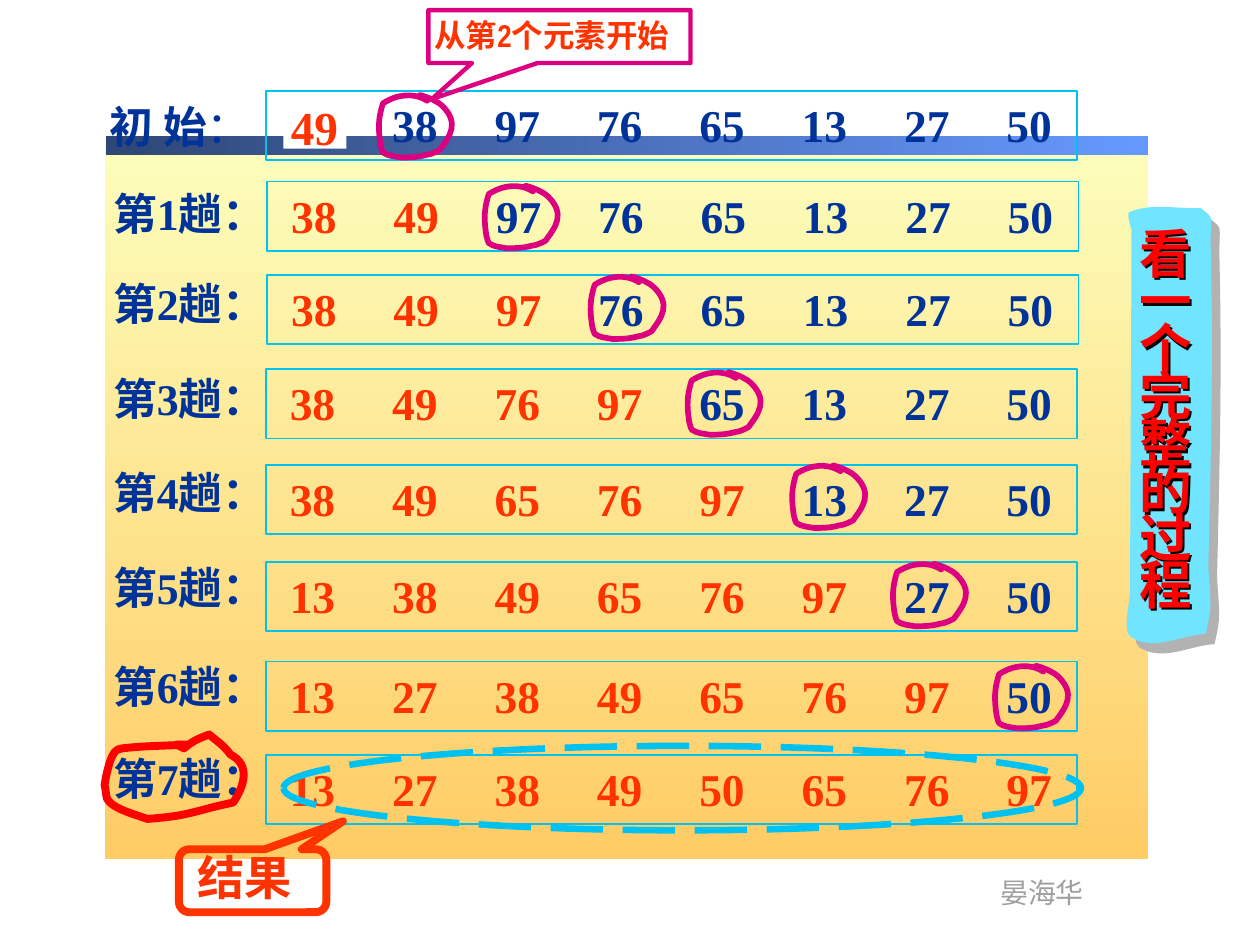
from dataclasses import dataclass

from lxml.etree import SubElement
from pptx import Presentation
from pptx.dml.color import RGBColor
from pptx.enum.dml import MSO_LINE
from pptx.enum.shapes import MSO_SHAPE as Preset
from pptx.enum.text import MSO_ANCHOR as Anchor
from pptx.enum.text import MSO_AUTO_SIZE as AutoSize
from pptx.enum.text import PP_ALIGN as Align
from pptx.oxml.ns import qn
from pptx.util import Inches, Pt


@dataclass(frozen=True)
class Theme:
    serif: str = "Times New Roman"
    narrow: str = "Arial Narrow"
    cjk: str = "Noto Sans CJK SC"
    heading: str = "Noto Sans CJK JP"
    navy: str = "003399"
    orange: str = "FF3300"
    red: str = "FF0000"
    magenta: str = "DC0081"
    cyan: str = "00C2F0"
    sky: str = "71E4FF"
    white: str = "FFFFFF"
    black: str = "000000"
    gray: str = "9F9F9F"
    shade: str = "B2B2B2"
    panel: tuple = ("FCFEBC", "FFCC66")
    band: tuple = ("2F4776", "6699FF")
    title_size: float = 30
    result_size: float = 27
    number_size: float = 26
    label_size: float = 25
    note_size: float = 18
    footer_size: float = 16


class SlideWriter:
    def __init__(self, page, theme):
        self.page = page
        self.theme = theme

    def paint(self, shape, fill=None, line=None, weight=1):
        shape.shadow.inherit = False
        if fill:
            shape.fill.solid()
            shape.fill.fore_color.rgb = RGBColor.from_string(fill)
        else:
            shape.fill.background()
        if line:
            shape.line.color.rgb = RGBColor.from_string(line)
            shape.line.width = Pt(weight)
        else:
            shape.line.fill.background()
        return shape

    def cast_shadow(self, shape, color, distance, degrees):
        shape.shadow.inherit = False
        effects = shape._element.spPr.find(qn("a:effectLst"))
        shadow = SubElement(effects, qn("a:outerShdw"), dist=str(Pt(distance)),
                            dir=str(degrees * 60000), algn="ctr", rotWithShape="0")
        SubElement(shadow, qn("a:srgbClr"), val=color)

    def shape(self, preset, place, adjustments=(), **paint):
        shape = self.page.shapes.add_shape(preset, *map(Inches, place))
        for index, value in enumerate(adjustments):
            shape.adjustments[index] = value
        return self.paint(shape, **paint)

    def gradient(self, place, colors, angle):
        shape = self.shape(Preset.RECTANGLE, place)
        shape.fill.gradient()
        shape.fill.gradient_angle = angle
        for stop, color, position in zip(shape.fill.gradient_stops, colors, (0, 1)):
            stop.color.rgb = RGBColor.from_string(color)
            stop.position = position

    def outline(self, start, curves, dx=0, dy=0, **paint):
        builder = self.page.shapes.build_freeform(Inches(start[0] + dx), Inches(start[1] + dy))
        builder.add_line_segments([(Inches(curve[4] + dx), Inches(curve[5] + dy))
                                   for curve in curves], close=True)
        shape = builder.convert_to_shape()
        segments = list(shape._element.iter(qn("a:lnTo")))
        for segment, curve in zip(segments, curves):
            bend = segment.makeelement(qn("a:cubicBezTo"), {})
            for x, y in zip(curve[::2], curve[1::2]):
                SubElement(bend, qn("a:pt"), x=str(Inches(x + dx) - shape.left),
                           y=str(Inches(y + dy) - shape.top))
            segment.getparent().replace(segment, bend)
        return self.paint(shape, **paint)

    def style(self, span, size, color, font, bold=True, cjk=None):
        span.font.size = Pt(size)
        span.font.bold = bold
        span.font.color.rgb = RGBColor.from_string(color)
        span.font.name = font
        latin = span.font._element.find(qn("a:latin"))
        east = latin.makeelement(qn("a:ea"), {"typeface": cjk or self.theme.cjk})
        latin.addnext(east)

    def text(self, place, words, size, color, font, bold=True, wrap=False, inset=0.1):
        box = self.page.shapes.add_textbox(*map(Inches, place))
        frame = box.text_frame
        frame.text = words
        frame.word_wrap = wrap
        frame.auto_size = AutoSize.SHAPE_TO_FIT_TEXT
        frame.margin_left = Inches(inset)
        self.style(frame.paragraphs[0].runs[0], size, color, font, bold)
        return frame.paragraphs[0]

    def number_row(self, place, done, waiting):
        theme = self.theme
        row = self.shape(Preset.RECTANGLE, place, line=theme.cyan)
        frame = row.text_frame
        frame.word_wrap = False
        frame.vertical_anchor = Anchor.MIDDLE
        frame.margin_left = Inches(0.19)
        frame.margin_bottom = Inches(0.07)
        para = frame.paragraphs[0]
        para.alignment = Align.LEFT
        tabs = SubElement(para._p.get_or_add_pPr(), qn("a:tabLst"))
        for column in range(1, len(done) + len(waiting)):
            SubElement(tabs, qn("a:tab"), pos=str(Inches(column * 6.5 / 8)), algn="l")
        lead = "\t" if done and waiting else ""
        parts = (("\t".join(map(str, done)), theme.orange),
                 (lead + "\t".join(map(str, waiting)), theme.navy))
        for words, color in parts:
            if words:
                span = para.add_run()
                span.text = words
                self.style(span, theme.number_size, color, theme.serif)

    def vertical_title(self, place, words):
        theme = self.theme
        title = self.page.shapes.title
        title.left, title.top, title.width, title.height = map(Inches, place)
        self.page.shapes._spTree.append(title._element)
        title.fill.background()
        self.cast_shadow(title, theme.black, 2, 45)
        frame = title.text_frame
        frame.text = "\n".join(words)
        frame.word_wrap = False
        frame.auto_size = AutoSize.NONE
        frame.vertical_anchor = Anchor.TOP
        for para in frame.paragraphs:
            para.alignment = Align.LEFT
            para.line_spacing = 0.75
            para.space_before = Pt(0)
            self.style(para.runs[0], theme.title_size, theme.red, theme.heading,
                       cjk=theme.heading)


RING = ((3.39, 0.8), [
    (3.28, 0.73, 3.15, 0.75, 3.04, 0.82), (3, 0.94, 3, 1.02, 3.02, 1.15),
    (3.03, 1.18, 3.03, 1.2, 3.04, 1.21), (3.08, 1.24, 3.13, 1.24, 3.18, 1.25),
    (3.24, 1.25, 3.31, 1.25, 3.38, 1.23), (3.42, 1.23, 3.49, 1.19, 3.49, 1.19),
    (3.57, 1.08, 3.65, 0.98, 3.51, 0.84), (3.49, 0.82, 3.47, 0.81, 3.45, 0.8),
    (3.42, 0.78, 3.3, 0.74, 3.34, 0.76), (3.36, 0.78, 3.38, 0.79, 3.39, 0.8)])
LAST_PASS = ((1.48, 5.91), [
    (1.31, 5.92, 1.14, 5.92, 0.97, 5.94), (0.95, 5.94, 0.93, 5.95, 0.91, 5.97),
    (0.86, 6.03, 0.83, 6.23, 0.83, 6.23), (0.84, 6.27, 0.84, 6.31, 0.85, 6.34),
    (0.89, 6.42, 1.09, 6.47, 1.17, 6.5), (1.41, 6.48, 1.45, 6.47, 1.64, 6.42),
    (1.71, 6.4, 1.85, 6.37, 1.85, 6.37), (1.94, 6.24, 1.99, 6.07, 1.83, 5.99),
    (1.77, 5.91, 1.73, 5.89, 1.66, 5.83), (1.58, 5.86, 1.53, 5.88, 1.46, 5.94),
    (1.38, 5.9, 1.38, 5.91, 1.48, 5.91)])
BANNER = ((8.98, 1.79), [
    (8.98, 2.75, 8.97, 3.71, 8.97, 4.67), (8.97, 4.8, 8.9, 5.01, 8.98, 5.06),
    (9.17, 5.17, 9.37, 5.04, 9.57, 5.03), (9.62, 4.81, 9.61, 4.8, 9.59, 4.5),
    (9.61, 3.64, 9.63, 2.88, 9.61, 2.01), (9.6, 1.68, 9.65, 1.75, 9.53, 1.65),
    (9.34, 1.66, 9.15, 1.61, 8.97, 1.68), (8.93, 1.69, 8.98, 1.79, 8.98, 1.84),
    (8.99, 1.86, 8.98, 1.81, 8.98, 1.79)])
NUMBERS = [49, 38, 97, 76, 65, 13, 27, 50]
ROW_PLACES = [(2.11, 0.72), (2.12, 1.44), (2.12, 2.18), (2.11, 2.93),
              (2.11, 3.69), (2.11, 4.46), (2.11, 5.25), (2.11, 5.99)]
LABEL_TOPS = [1.43, 2.15, 2.9, 3.65, 4.4, 5.19, 5.92]
RING_PLACES = [(3, 0.73), (3.84, 1.45), (4.68, 2.17), (5.45, 2.93),
               (6.28, 3.67), (7.08, 4.45), (7.89, 5.26)]


def main():
    deck = Presentation()
    deck.slide_width, deck.slide_height = Inches(10), Inches(7.5)
    theme = Theme()
    writer = SlideWriter(deck.slides.add_slide(deck.slide_layouts[5]), theme)

    writer.gradient((0.83, 1.1, 8.28, 5.72), theme.panel, 270)
    writer.gradient((0.84, 1.08, 8.27, 0.15), theme.band, 0)
    writer.text((7.84, 6.9, 0.87, 0.37), "晏海华", theme.footer_size, theme.gray,
                theme.narrow, bold=False)

    for step, (left, top) in enumerate(ROW_PLACES):
        sorted_count = step + 1 if step else 0
        writer.number_row((left, top, 6.44, 0.55), sorted(NUMBERS[:sorted_count]),
                          NUMBERS[sorted_count:])
    label = writer.text((0.69, 0.74, 1.51, 0.52), "初 始", theme.label_size, theme.navy,
                        theme.cjk, inset=0.18)
    colon = label.add_run()
    colon.text = "："
    writer.style(colon, theme.label_size, theme.navy, theme.serif, bold=False)
    for step, top in enumerate(LABEL_TOPS, start=1):
        writer.text((0.8, top, 1.42, 0.52), f"第{step}趟：", theme.label_size, theme.navy,
                    theme.serif)
    for left, top in RING_PLACES:
        writer.outline(*RING, dx=left - 3, dy=top - 0.73, line=theme.magenta, weight=3.25)

    writer.shape(Preset.RECTANGULAR_CALLOUT, (3.4, 0.08, 2.08, 0.42), (-0.487, 1.183),
                 line=theme.magenta, weight=2.5)
    writer.text((3.35, 0.08, 2.2, 0.4), "从第2个元素开始", theme.note_size, theme.orange,
                theme.narrow, wrap=True)
    writer.shape(Preset.RECTANGLE, (2.25, 0.85, 0.5, 0.33), fill=theme.white)
    writer.text((2.21, 0.73, 0.58, 0.55), str(NUMBERS[0]), theme.result_size, theme.orange,
                theme.serif)

    ellipse = writer.shape(Preset.OVAL, (2.25, 5.92, 6.33, 0.67), line=theme.cyan, weight=3.75)
    ellipse.line.dash_style = MSO_LINE.LONG_DASH
    writer.shape(Preset.ROUNDED_RECTANGULAR_CALLOUT, (1.42, 6.74, 1.17, 0.5),
                 (0.613, -0.944, 0.167), line=theme.orange, weight=4.5)
    writer.text((1.47, 6.68, 1.28, 0.55), "结果", theme.result_size, theme.orange,
                theme.narrow, wrap=True)
    writer.outline(*LAST_PASS, line=theme.red, weight=4.5)

    banner = writer.outline(*BANNER, fill=theme.sky)
    writer.cast_shadow(banner, theme.shade, 7.8, 50)
    writer.vertical_title((8.94, 1.82, 0.62, 3.1), "看一个完整的过程")
    deck.save("out.pptx")


if __name__ == "__main__":
    main()
